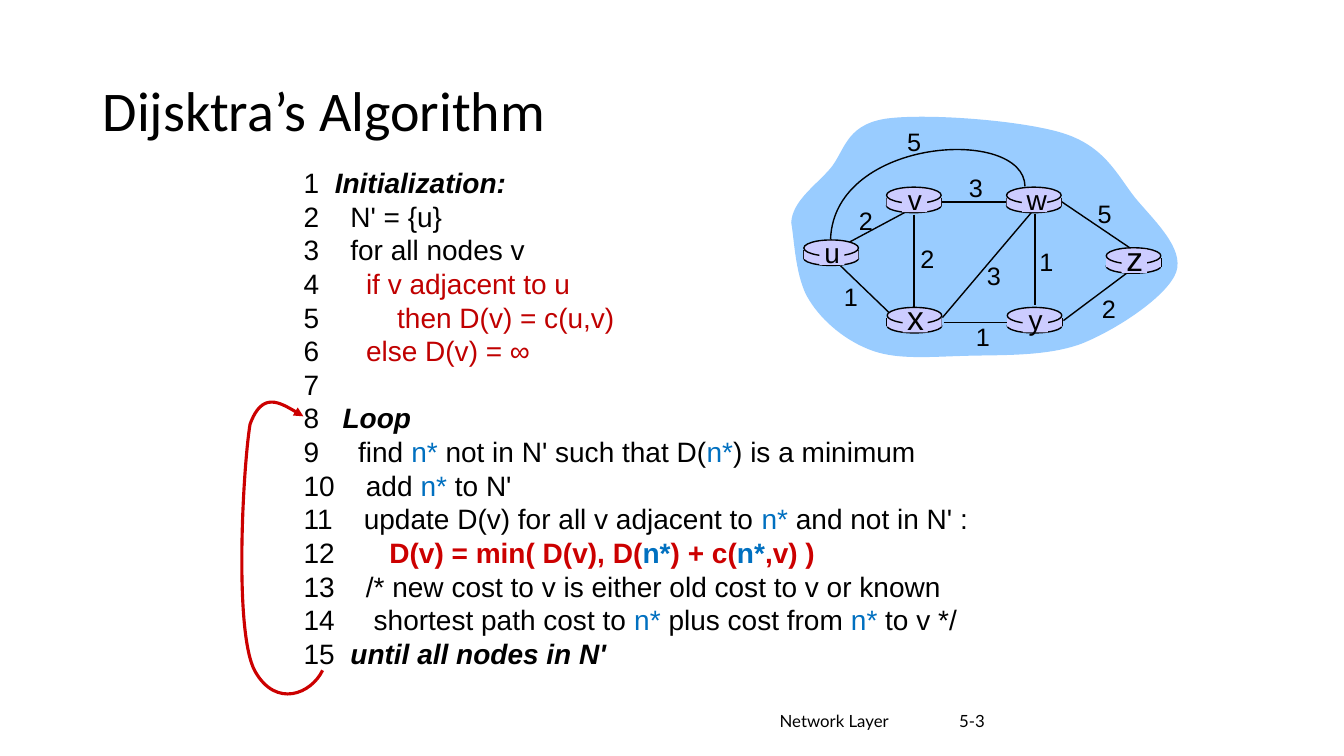
from lxml import etree
from pptx import Presentation
from pptx.dml.color import RGBColor
from pptx.enum.shapes import MSO_CONNECTOR, MSO_SHAPE
from pptx.enum.text import MSO_ANCHOR, PP_ALIGN
from pptx.oxml.ns import qn
from pptx.util import Pt

LEFT, CENTER, RIGHT = PP_ALIGN.LEFT, PP_ALIGN.CENTER, PP_ALIGN.RIGHT
TOP, MIDDLE = MSO_ANCHOR.TOP, MSO_ANCHOR.MIDDLE
OVAL, RECTANGLE = MSO_SHAPE.OVAL, MSO_SHAPE.RECTANGLE
STRAIGHT = MSO_CONNECTOR.STRAIGHT

COLORS = {"black": "000000", "cloud": "99CCFF", "router": "CCCCFF",
          "dark red": "C00000", "red": "CC0000", "blue": "0070C0"}

# Styles of the pseudocode: colour, bold, italic
STYLES = {"plain": ("black", False, False), "keyword": ("black", True, True),
          "branch": ("dark red", False, False), "update": ("red", True, False)}

# Pseudocode lines: spaces after the line number, text, style
CODE = [
    (2, "Initialization:", "keyword"),
    (4, "N' = {u}", "plain"),
    (4, "for all nodes v", "plain"),
    (6, "if v adjacent to u", "branch"),
    (10, "then D(v) = c(u,v)", "branch"),
    (6, "else D(v) = ∞", "branch"),
    (0, "", "plain"),
    (3, "Loop", "keyword"),
    (5, "find n* not in N' such that D(n*) is a minimum", "plain"),
    (4, "add n* to N'", "plain"),
    (4, "update D(v) for all v adjacent to n* and not in N' :", "plain"),
    (7, "D(v) = min( D(v), D(n*) + c(n*,v) )", "update"),
    (4, "/* new cost to v is either old cost to v or known", "plain"),
    (5, "shortest path cost to n* plus cost from n* to v */", "plain"),
    (2, "until all nodes in N'", "keyword"),
]

# Routers: name, left, top, size of the name
ROUTERS = [("u", 574.2, 171.4, 20), ("v", 633.3, 133.7, 20), ("w", 719, 133.7, 20),
           ("x", 633.7, 219.6, 24), ("y", 719.5, 219.6, 20), ("z", 790.2, 177, 24)]

# Links: start, end, cost, centre of the cost
LINKS = [
    ((607, 172.8), (650, 149.8), "2", (618.5, 157.7)),
    ((673.2, 144.2), (719.3, 144.2), "3", (697, 134)),
    ((653, 153.4), (653, 221), "2", (662.4, 185)),
    ((600.5, 190), (635, 223.2), "1", (607.7, 211.7)),
    ((736.6, 152), (673.2, 226.8), "3", (710, 196.6)),
    ((739.4, 152.6), (739.4, 218.2), "1", (747.4, 187)),
    ((674, 230.4), (720, 230.4), "1", (702, 240.7)),
    ((759.6, 229), (805, 195), "2", (792, 220.3)),
    ((758.2, 144), (807, 177), "5", (789, 152.8)),
]

# Curves: a start point, then two control points and an end for each piece
CLOUD = [
    (565.2, 159.1),
    (565.9, 144), (581.8, 133.2), (592.6, 121),
    (603.4, 108.7), (603.4, 90), (631.4, 85),
    (658.8, 80.6), (728.6, 85.7), (758.9, 95),
    (789.1, 104.4), (797.8, 124.6), (810.7, 141.1),
    (824.4, 157.7), (846, 177.1), (840.2, 194.4),
    (833.8, 211.7), (797.8, 235.4), (772.6, 245.5),
    (747.4, 254.9), (714.2, 253.4), (689, 254.2),
    (664.6, 254.9), (641.5, 257), (623.5, 250.6),
    (604.8, 244.1), (587.5, 229.7), (578.2, 214.6),
    (568.1, 199.4), (567.4, 170.6), (565.2, 159.1),
]
LOOP_ARROW = [
    (230.4, 478.8),
    (222.5, 495.4), (197.3, 506.2), (182.2, 479.5),
    (167, 452.2), (173.5, 334.8), (178.6, 303.1),
    (187.2, 279.4), (203.8, 289.4), (216.7, 297.4),
]
LONG_LINK = [(732.2, 133.2), (731.5, 90), (596.2, 98), (593.3, 170.6)]


def rgb(name):
    return RGBColor.from_string(COLORS[name])


def paint(shape, fill=None, line=None, width=1):
    shape.shadow.inherit = False
    if fill:
        shape.fill.solid()
        shape.fill.fore_color.rgb = rgb(fill)
    else:
        shape.fill.background()
    if line:
        shape.line.color.rgb = rgb(line)
        shape.line.width = Pt(width)
    else:
        shape.line.fill.background()


def add_span(para, text, font="Arial", size=20, color="black", bold=False, italic=False):
    span = para.add_run()
    span.text = text
    span.font.name, span.font.size = font, Pt(size)
    span.font.bold, span.font.italic = bold, italic
    span.font.color.rgb = rgb(color)


def add_box(page, left, top, width, height, align=LEFT, anchor=TOP, wrap=True):
    box = page.shapes.add_textbox(Pt(left), Pt(top), Pt(width), Pt(height))
    box.text_frame.word_wrap = wrap
    box.text_frame.vertical_anchor = anchor
    box.text_frame.paragraphs[0].alignment = align
    return box.text_frame


def add_label(page, text, x, y, size):
    height = 1.2 * size + 7.2
    frame = add_box(page, x - 13, y - height / 2, 26, height, align=CENTER, wrap=False)
    add_span(frame.paragraphs[0], text, size=size)


def add_code(page, left, top, width, height):
    frame = add_box(page, left, top, width, height, wrap=False)
    for number, (indent, text, style) in enumerate(CODE, 1):
        para = frame.paragraphs[0] if number == 1 else frame.add_paragraph()
        lead = str(number) + " " * indent
        if style == "plain":
            text = lead + text
        else:
            add_span(para, lead)
        color, bold, italic = STYLES[style]
        for index, piece in enumerate(text.split("n*")):
            if index:
                add_span(para, "n*", color="blue", bold=bold)
            add_span(para, piece, color=color, bold=bold, italic=italic)


def add_shape(page, kind, left, top, width, height, line=None):
    shape = page.shapes.add_shape(kind, Pt(left), Pt(top), Pt(width), Pt(height))
    paint(shape, "router", line)


def add_line(page, start, end):
    line = page.shapes.add_connector(STRAIGHT, *[Pt(value) for value in start + end])
    line.line.color.rgb = rgb("black")
    line.line.width = Pt(1)
    etree.SubElement(line.element.spPr, qn("a:effectLst"))


def add_curve(page, points, closed=False, arrow=False, **look):
    start, *rest = [(Pt(x), Pt(y)) for x, y in points]
    builder = page.shapes.build_freeform(*start)
    builder.add_line_segments(rest, close=closed)
    shape = builder.convert_to_shape()
    # Join every three segments into one cubic curve
    segments = list(shape.element.iter(qn("a:lnTo")))
    for first in range(0, len(segments), 3):
        curve = etree.Element(qn("a:cubicBezTo"))
        segments[first].addprevious(curve)
        for segment in segments[first:first + 3]:
            curve.append(segment[0])
            segment.getparent().remove(segment)
    paint(shape, **look)
    if arrow:
        etree.SubElement(shape.element.spPr.find(qn("a:ln")), qn("a:tailEnd"), type="triangle")


def add_router(page, name, left, top, size):
    width = 39
    add_shape(page, OVAL, left, top + 8.2, width, 10, line="black")
    for side in (left, left + width):
        add_line(page, (side, top + 7.4), (side, top + 13.4))
    add_shape(page, RECTANGLE, left, top + 7.4, width, 6.4)
    add_shape(page, OVAL, left, top, width, 11.5, line="black")
    add_shape(page, RECTANGLE, left + 11, top + 1.4, 18, 16.5)
    add_label(page, name, left + 20.2, top + 16.8 - 0.4 * size, size)


def main():
    deck = Presentation()
    deck.slide_width, deck.slide_height = Pt(960), Pt(540)
    page = deck.slides.add_slide(deck.slide_layouts[6])

    # Footer and title
    footer = add_box(page, 318, 500.5, 324, 29, align=RIGHT, anchor=MIDDLE)
    add_span(footer.paragraphs[0], "Network Layer", font="Lato", size=12)
    number = add_box(page, 678, 500.5, 216, 29, anchor=MIDDLE)
    add_span(number.paragraphs[0], "5-3", font="Lato", size=12)
    title = add_box(page, 66.3, 28.8, 828, 104.4, anchor=MIDDLE)
    title.paragraphs[0].line_spacing = 0.9
    add_span(title.paragraphs[0], "Dijsktra’s Algorithm", font="Calibri", size=40)

    # Pseudocode with its loop arrow
    add_code(page, 209.8, 114.8, 497.5, 370.8)
    add_curve(page, LOOP_ARROW, arrow=True, line="red", width=2.25)

    # Network graph
    add_curve(page, CLOUD, closed=True, fill="cloud")
    for start, end, cost, center in LINKS:
        add_line(page, start, end)
    for router in ROUTERS:
        add_router(page, *router)
    add_curve(page, LONG_LINK, line="black")
    for start, end, cost, center in LINKS:
        add_label(page, cost, *center, 18)
    add_label(page, "5", 653, 100.8, 18)

    deck.save("out.pptx")


if __name__ == "__main__":
    main()
